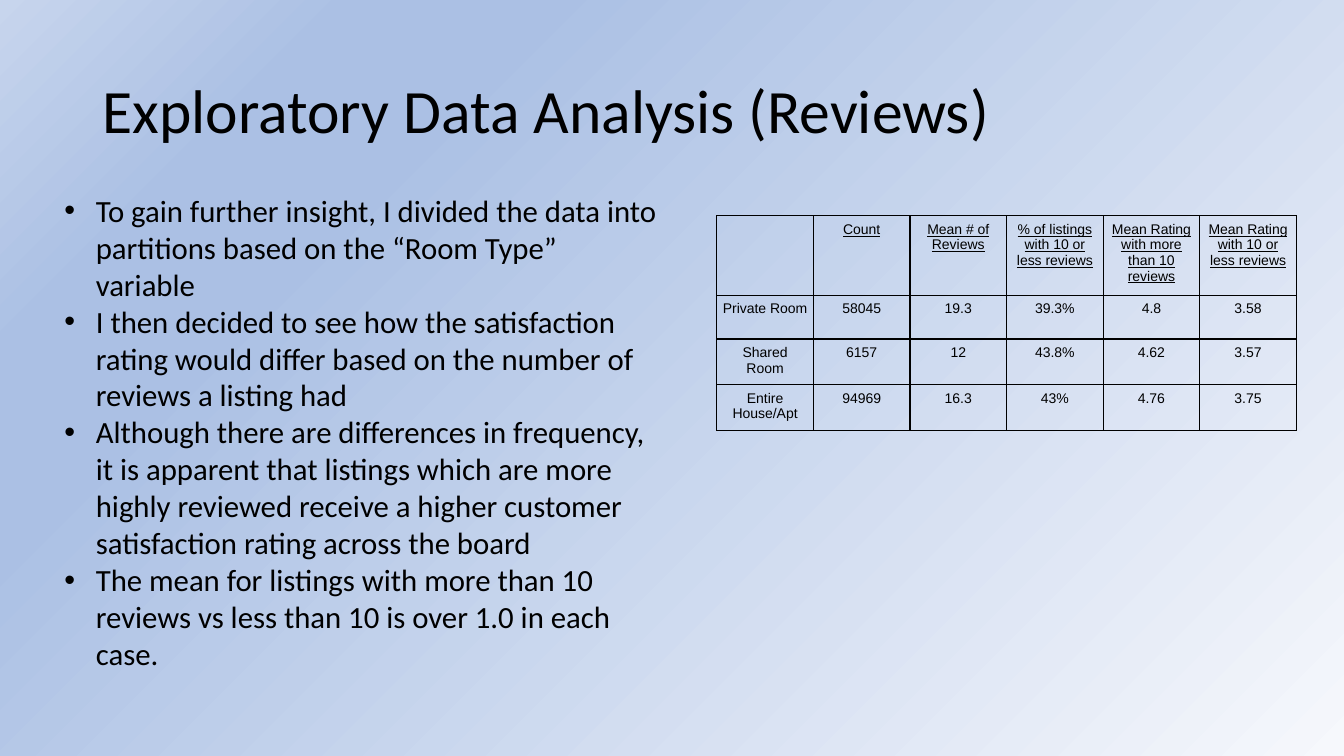
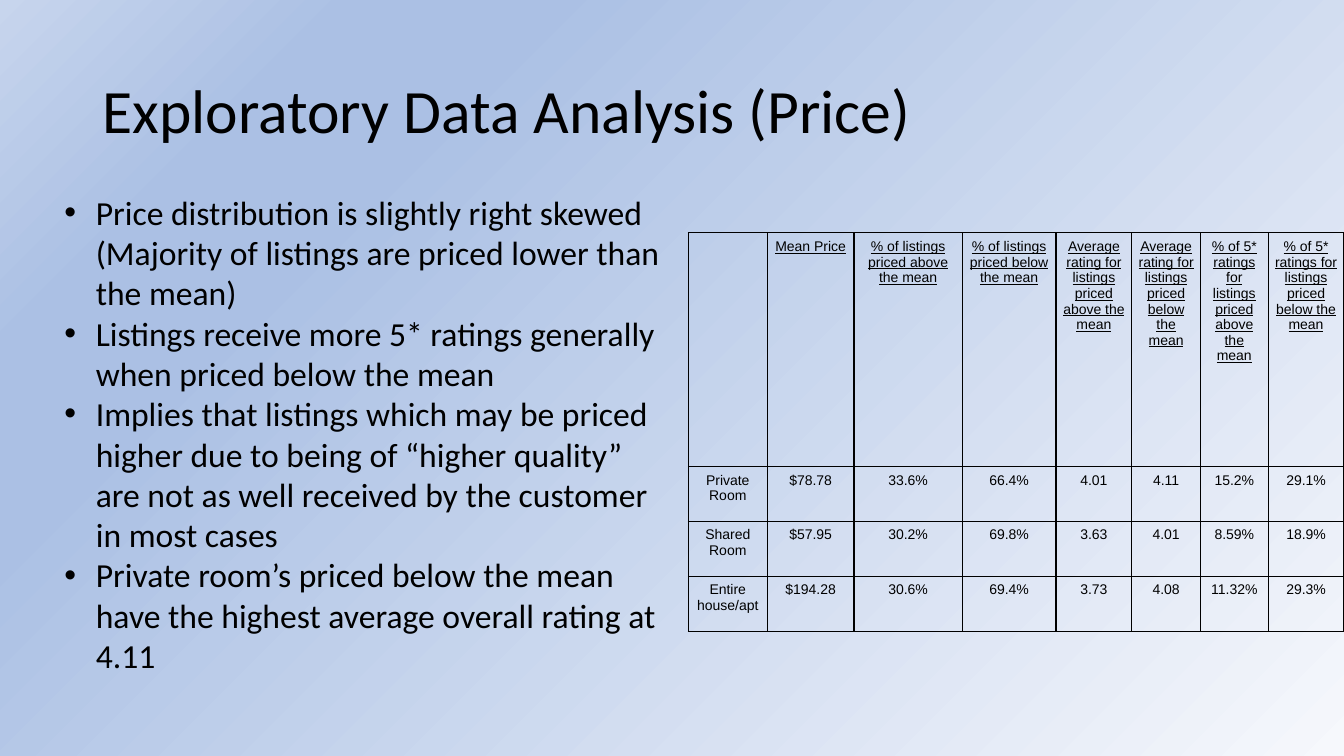
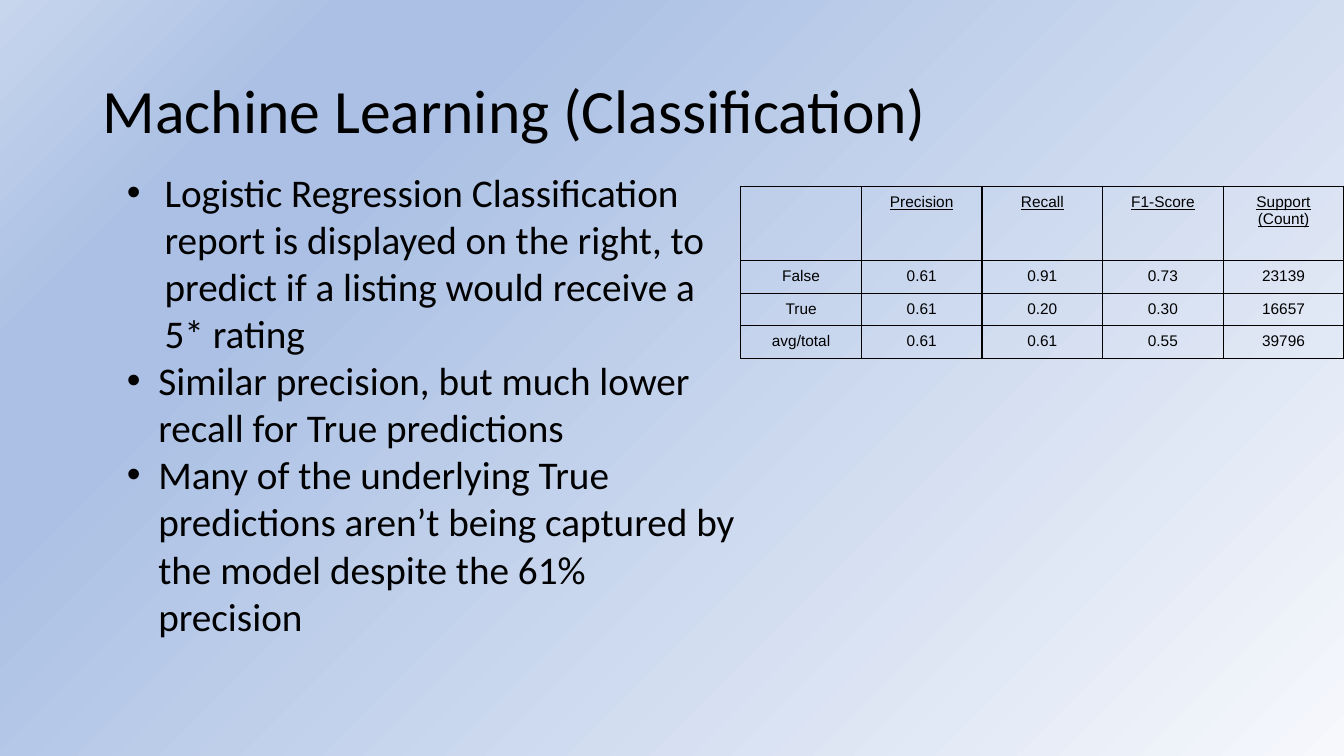
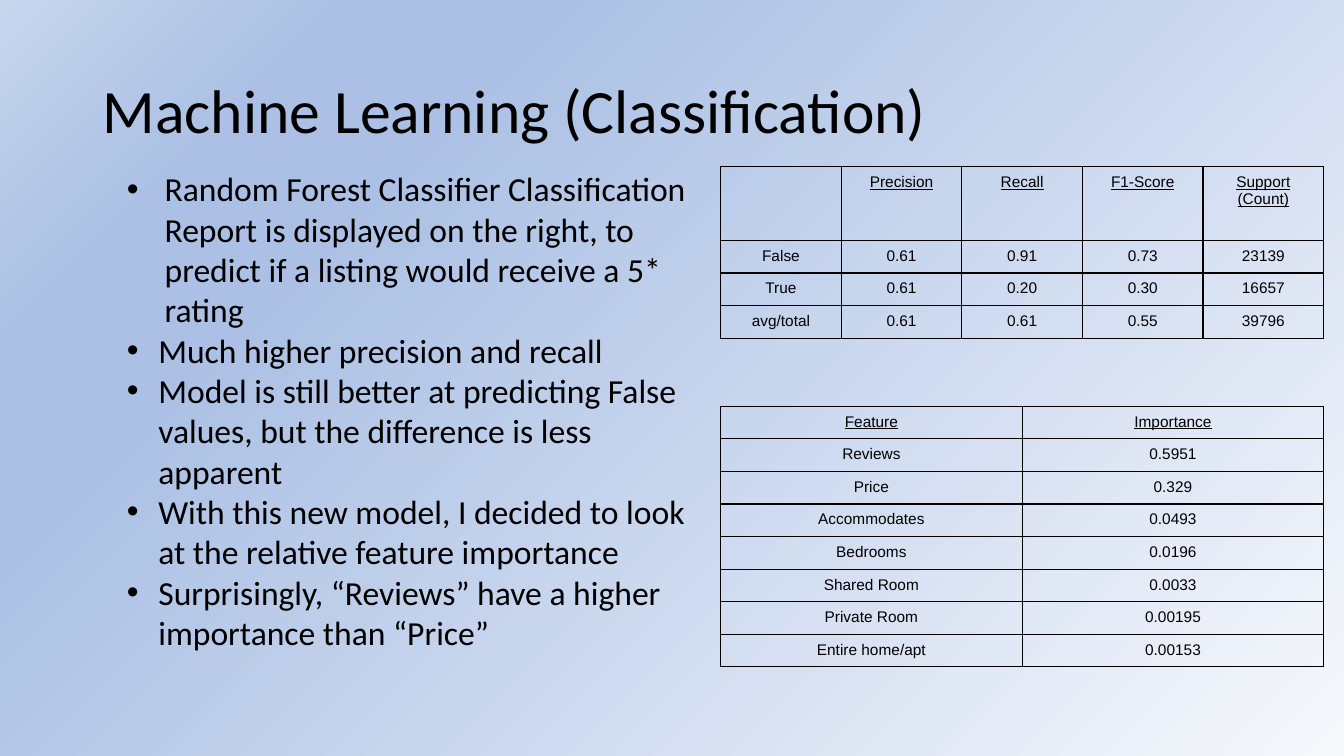
"""Build four slides on listing ratings, with bullets beside tables."""
from pptx import Presentation
from pptx.dml.color import RGBColor
from pptx.enum.text import MSO_ANCHOR, MSO_AUTO_SIZE, PP_ALIGN
from pptx.oxml import parse_xml
from pptx.oxml.ns import nsdecls, qn
from pptx.util import Inches, Pt

MID = MSO_ANCHOR.MIDDLE
GROW = MSO_AUTO_SIZE.SHAPE_TO_FIT_TEXT
MAIN = PP_ALIGN.CENTER
INK = "000000"
HEAD, CELL = "Calibri", "Arial"
STOPS = [(0, "F6F8FC"), (74, "ABC0E4"), (83, "ABC0E4"), (100, "C7D5ED")]

deck = Presentation()
deck.slide_width, deck.slide_height = Inches(13.333), Inches(7.5)


def place(left, top, wide, high):
    """Turn percent shares of the slide into lengths."""
    across, down = deck.slide_width / 100, deck.slide_height / 100
    return int(left * across), int(top * down), int(wide * across), int(high * down)


def style(para, face, size, color=INK):
    """Format every run of a paragraph."""
    for run in para.runs:
        run.font.name, run.font.size = face, Pt(size)
        run.font.color.rgb = RGBColor.from_string(color)


master = deck.slide_master
master.background.fill.solid()
back = master.element.find(".//" + qn("p:bgPr"))
stops = "".join(
    f'<a:gs pos="{share * 1000}"><a:srgbClr val="{color}"/></a:gs>' for share, color in STOPS)
back.replace(back[0], parse_xml(
    f'<a:gradFill {nsdecls("a")} rotWithShape="1"><a:gsLst>{stops}</a:gsLst>'
    '<a:path path="circle"><a:fillToRect l="100000" t="100000"/></a:path>'
    '<a:tileRect r="-100000" b="-100000"/></a:gradFill>'))

report = [
    "|Precision|Recall|F1-Score|Support (Count)",
    "False|0.61|0.91|0.73|23139",
    "True|0.61|0.20|0.30|16657",
    "avg/total|0.61|0.61|0.55|39796",
]
tall = [9.8, 4.3, 4.3, 4.3]

pages = [
    {
        "title": "Exploratory Data Analysis (Reviews)",
        "box": (4.05, 24.67, 45.9, 65.47), "size": 22, "first": 22.5,
        "points": [
            "To gain further insight, I divided the data into partitions based on the “Room Type” variable",
            "I then decided to see how the satisfaction rating would differ based on the number of reviews a listing had",
            "Although there are differences in frequency, it is apparent that listings which are more highly reviewed receive a higher customer satisfaction rating across the board",
            "The mean for listings with more than 10 reviews vs less than 10 is over 1.0 in each case.",
        ],
        "font": 10, "inset": 0.06,
        "grids": [((53.33, 28.53, 43.13), [1] * 6, [10.3, 5.8, 5.8, 6], [
            "|Count|Mean # of Reviews|% of listings with 10 or less reviews|Mean Rating with more than 10 reviews|Mean Rating with 10 or less reviews",
            "Private Room|58045|19.3|39.3%|4.8|3.58",
            "Shared Room|6157|12|43.8%|4.62|3.57",
            "Entire House/Apt|94969|16.3|43%|4.76|3.75",
        ])],
    },
    {
        "title": "Exploratory Data Analysis (Price)",
        "box": (4.05, 24.67, 45.9, 66), "size": 24, "first": 22.5,
        "points": [
            "Price distribution is slightly right skewed (Majority of listings are priced lower than the mean)",
            "Listings receive more 5* ratings generally when priced below the mean",
            "Implies that listings which may be priced higher due to being of “higher quality” are not as well received by the customer in most cases",
            "Private room’s priced below the mean have the highest average overall rating at 4.11",
        ],
        "font": 10, "inset": 0.06,
        "grids": [((51.22, 30.8, 48.78), [78, 86, 107, 93, 75, 68, 67, 75], [30.9, 7.27, 7.27, 7.27], [
            "|Mean Price|% of listings priced above the mean|% of listings priced below the mean|Average rating for listings priced above the mean|Average rating for listings priced below the mean|% of 5* ratings for listings priced above the mean|% of 5* ratings for listings priced below the mean",
            "Private Room|$78.78|33.6%|66.4%|4.01|4.11|15.2%|29.1%",
            "Shared Room|$57.95|30.2%|69.8%|3.63|4.01|8.59%|18.9%",
            "Entire house/apt|$194.28|30.6%|69.4%|3.73|4.08|11.32%|29.3%",
        ])],
    },
    {
        "title": "Machine Learning (Classification)",
        "box": (8.7, 21.6, 46.95, 64.13), "size": 28, "first": 27,
        "points": [
            "Logistic Regression Classification report is displayed on the right, to predict if a listing would receive a 5* rating",
            "Similar precision, but much lower recall for True predictions",
            "Many of the underlying True predictions aren’t being captured by the model despite the 61% precision",
        ],
        "font": 11, "inset": 0.07,
        "grids": [((55.12, 24.67, 44.88), [1] * 5, tall, report)],
    },
    {
        "title": "Machine Learning (Classification)",
        "box": (8.7, 21.6, 44.92, 66), "size": 24, "first": 27,
        "points": [
            "Random Forest Classifier Classification Report is displayed on the right, to predict if a listing would receive a 5* rating",
            "Much higher precision and recall",
            "Model is still better at predicting False values, but the difference is less apparent",
            "With this new model, I decided to look at the relative feature importance",
            "Surprisingly, “Reviews” have a higher importance than “Price”",
        ],
        "font": 11, "inset": 0.07,
        "grids": [
            ((53.62, 22, 44.88), [1] * 5, tall, report),
            ((53.62, 53.73, 44.88), [1] * 2, [4.3] * 8, [
                "Feature|Importance",
                "Reviews|0.5951",
                "Price|0.329",
                "Accommodates|0.0493",
                "Bedrooms|0.0196",
                "Shared Room|0.0033",
                "Private Room|0.00195",
                "Entire home/apt|0.00153",
            ]),
        ],
    },
]

for page in pages:
    slide = deck.slides.add_slide(deck.slide_layouts[6])

    title = slide.shapes.add_textbox(*place(6.9, 5.33, 86.25, 19.33)).text_frame
    title.word_wrap, title.vertical_anchor = True, MID
    title.text = page["title"]
    title.paragraphs[0].line_spacing = 0.9
    style(title.paragraphs[0], HEAD, 44)

    body = slide.shapes.add_textbox(*place(*page["box"])).text_frame
    body.word_wrap, body.auto_size = True, GROW
    body.text = "\n".join(page["points"])
    for rank, para in enumerate(body.paragraphs):
        style(para, HEAD, page["size"])
        dent = Pt(22.5 if rank else page["first"])
        props = para._p.get_or_add_pPr()
        props.set("marL", str(dent))
        props.set("indent", str(-dent))
        props.append(parse_xml(f'<a:buFont {nsdecls("a")} typeface="{CELL}"/>'))
        props.append(parse_xml(f'<a:buChar {nsdecls("a")} char="•"/>'))

    for (left, top, wide), parts, highs, lines in page["grids"]:
        area = place(left, top, wide, sum(highs))
        grid = slide.shapes.add_table(len(lines), len(parts), *area).table
        grid.first_row = grid.horz_banding = False
        for col, part in zip(grid.columns, parts):
            col.width = int(area[2] * part / sum(parts))
        for row, high, line in zip(grid.rows, highs, lines):
            row.height = int(area[3] * high / sum(highs))
            for cell, text in zip(row.cells, line.split("|")):
                cell.margin_left = cell.margin_right = Inches(page["inset"])
                cell.margin_top = cell.margin_bottom = Inches(page["inset"])
                cell.fill.background()
                for rank, side in enumerate("LRTB"):
                    cell._tc.get_or_add_tcPr().insert(rank, parse_xml(
                        f'<a:ln{side} {nsdecls("a")} w="{Pt(1)}"><a:solidFill>'
                        f'<a:srgbClr val="{INK}"/></a:solidFill></a:ln{side}>'))
                if text:
                    cell.text_frame.text = text
                    para = cell.text_frame.paragraphs[0]
                    para.alignment = MAIN
                    style(para, CELL, page["font"])
                    para.runs[0].font.underline = line == lines[0]

deck.save("out.pptx")
